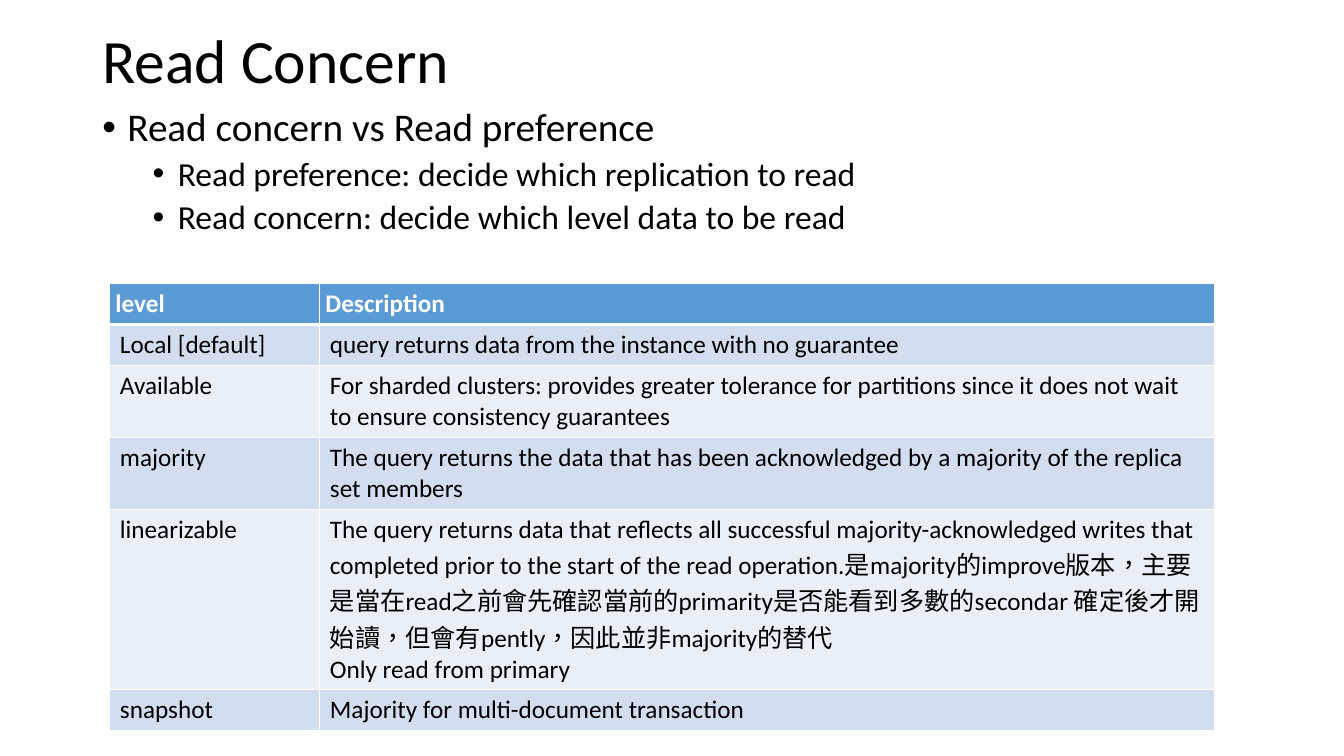
from dataclasses import dataclass

from lxml import etree
from pptx import Presentation
from pptx.dml.color import RGBColor
from pptx.enum.lang import MSO_LANGUAGE_ID
from pptx.enum.text import MSO_ANCHOR
from pptx.oxml.ns import qn
from pptx.util import Pt

MIDDLE = MSO_ANCHOR.MIDDLE
TOP = MSO_ANCHOR.TOP
CHINESE = MSO_LANGUAGE_ID.TRADITIONAL_CHINESE


@dataclass(frozen=True)
class Theme:
    font: str = "Calibri"
    ink: str = "000000"
    white: str = "FFFFFF"
    head: str = "5B9BD5"
    bands: tuple = ("D2DEEF", "EAEFF7")
    title: int = 44
    levels: tuple = (28, 24)
    cell: int = 18


THEME = Theme()


def write(para, text, size, color=THEME.ink, bold=False, line=None, before=0):
    """Fill a paragraph with one formatted run."""
    run = para.add_run()
    run.text = text
    font = run.font
    font.name, font.size, font.bold = THEME.font, Pt(size), bold
    font.color.rgb = RGBColor.from_string(color)
    font.language_id = CHINESE
    para.space_before = Pt(before)
    if line:
        para.line_spacing = line


def bullet(para, left, hang):
    props = para._p.get_or_add_pPr()
    props.set("marL", str(Pt(left)))
    props.set("indent", str(Pt(-hang)))
    etree.SubElement(props, qn("a:buFont")).set("typeface", "Arial")
    etree.SubElement(props, qn("a:buChar")).set("char", "•")


def border(cell, side, width):
    line = etree.SubElement(cell._tc.get_or_add_tcPr(), qn(f"a:ln{side}"))
    line.set("w", str(Pt(width)))
    fill = etree.SubElement(line, qn("a:solidFill"))
    etree.SubElement(fill, qn("a:srgbClr")).set("val", THEME.white)


class Page:
    def __init__(self, slide, theme):
        self.slide, self.theme = slide, theme

    def frame(self, left, top, width, height, anchor=TOP):
        box = self.slide.shapes.add_textbox(Pt(left), Pt(top), Pt(width), Pt(height))
        frame = box.text_frame
        frame.word_wrap = True
        frame.vertical_anchor = anchor
        return frame

    def title(self, text, *place):
        frame = self.frame(*place, anchor=MIDDLE)
        write(frame.paragraphs[0], text, self.theme.title, line=0.9)

    def bullets(self, items, *place):
        frame = self.frame(*place)
        for i, (level, text) in enumerate(items):
            para = frame.add_paragraph() if i else frame.paragraphs[0]
            para.level = level
            write(para, text, self.theme.levels[level], line=0.9,
                  before=5 if level else 10)
            bullet(para, 18 + 36 * level, 18)

    def table(self, rows, left, top, widths, heights):
        shape = self.slide.shapes.add_table(
            len(rows), len(widths), Pt(left), Pt(top),
            Pt(sum(widths)), Pt(sum(heights)))
        table = shape.table
        for col, width in zip(table.columns, widths):
            col.width = Pt(width)
        for line, height in zip(table.rows, heights):
            line.height = Pt(height)
        for r, row in enumerate(rows):
            for c, text in enumerate(row):
                self.cell(table.cell(r, c), text, r)

    def cell(self, cell, text, row):
        theme, head = self.theme, row == 0
        if head:
            cell.vertical_anchor = MIDDLE
            cell.margin_left = cell.margin_right = Pt(4)
            cell.margin_top = cell.margin_bottom = Pt(3.5)
        for side in "LRTB":
            thick = (head and side == "B") or (row == 1 and side == "T")
            border(cell, side, 3 if thick else 1)
        cell.fill.solid()
        color = theme.head if head else theme.bands[(row - 1) % 2]
        cell.fill.fore_color.rgb = RGBColor.from_string(color)
        frame = cell.text_frame
        for i, part in enumerate(text.split("\n")):
            para = frame.add_paragraph() if i else frame.paragraphs[0]
            write(para, part, theme.cell, bold=head,
                  color=theme.white if head else theme.ink)


BULLETS = [
    (0, "Read concern vs Read preference"),
    (1, "Read preference: decide which replication to read"),
    (1, "Read concern: decide which level data to be read"),
]

LEVELS = [
    ("level", "Description"),
    ("Local [default]", "query returns data from the instance with no guarantee"),
    ("Available",
     "For sharded clusters: provides greater tolerance for partitions since "
     "it does not wait to ensure consistency guarantees"),
    ("majority",
     "The query returns the data that has been acknowledged by a majority of "
     "the replica set members"),
    ("linearizable",
     "The query returns data that reflects all successful "
     "majority-acknowledged writes that completed prior to the start of the "
     "read operation.是majority的improve版本，主要是當在read之前會先確認當前的"
     "primarity是否能看到多數的secondar 確定後才開始讀，但會有pently，"
     "因此並非majority的替代\nOnly read from primary"),
    ("snapshot", "Majority for multi-document transaction"),
]

# Row heights for one line, two lines and the long mixed text
ONE, TWO, LONG = 29.2, 51.4, 129
HEIGHTS = (ONE, ONE, TWO, TWO, LONG, ONE)


def main():
    deck = Presentation()
    deck.slide_width, deck.slide_height = Pt(960), Pt(540)
    page = Page(deck.slides.add_slide(deck.slide_layouts[6]), THEME)

    # Heading and bullets
    page.title("Read Concern", 66, 17, 828, 57)
    page.bullets(BULLETS, 66, 73.5, 828, 343)

    # Table of read levels
    page.table(LEVELS, 78.5, 202.5, (150, 639), HEIGHTS)

    deck.save("out.pptx")


if __name__ == "__main__":
    main()
